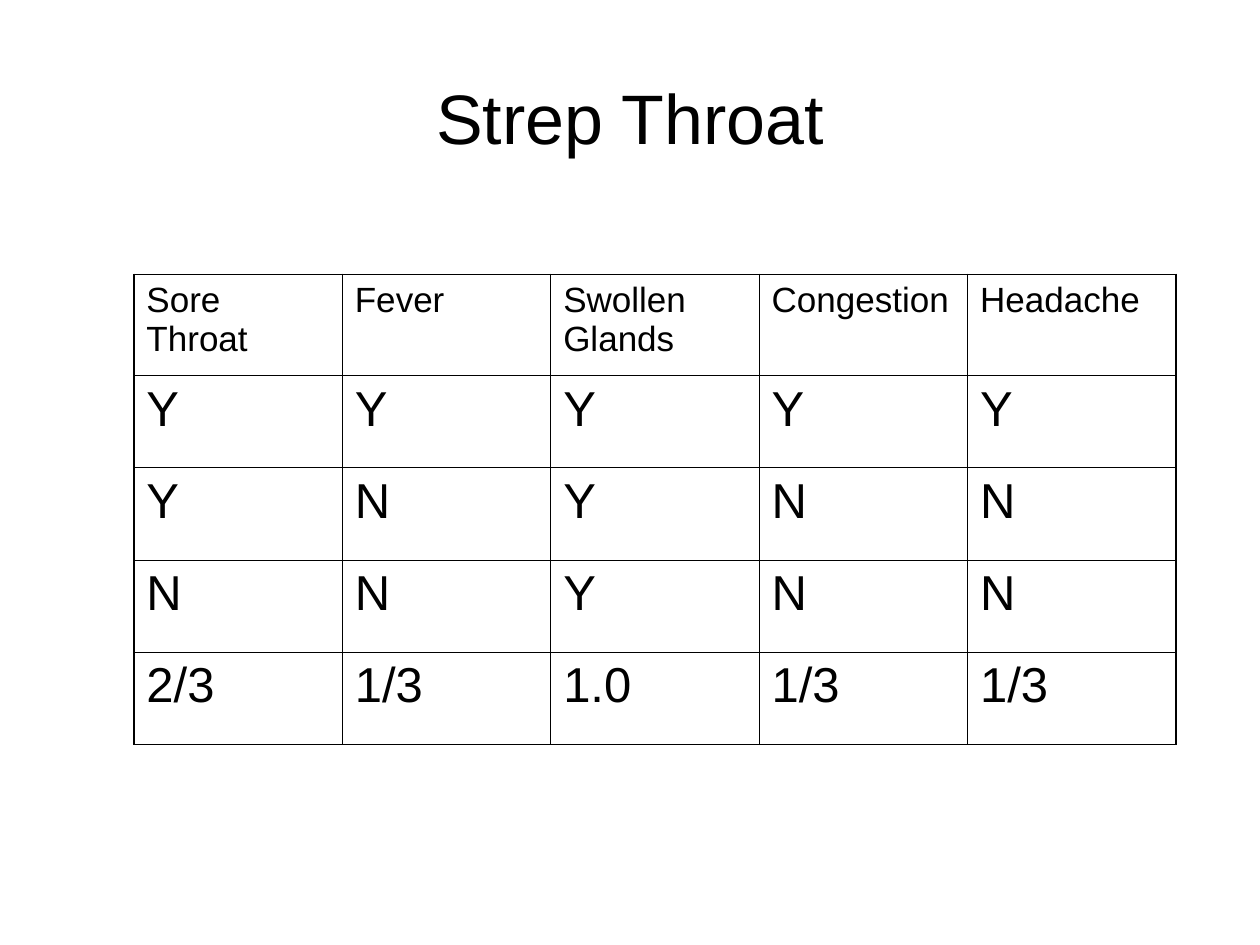
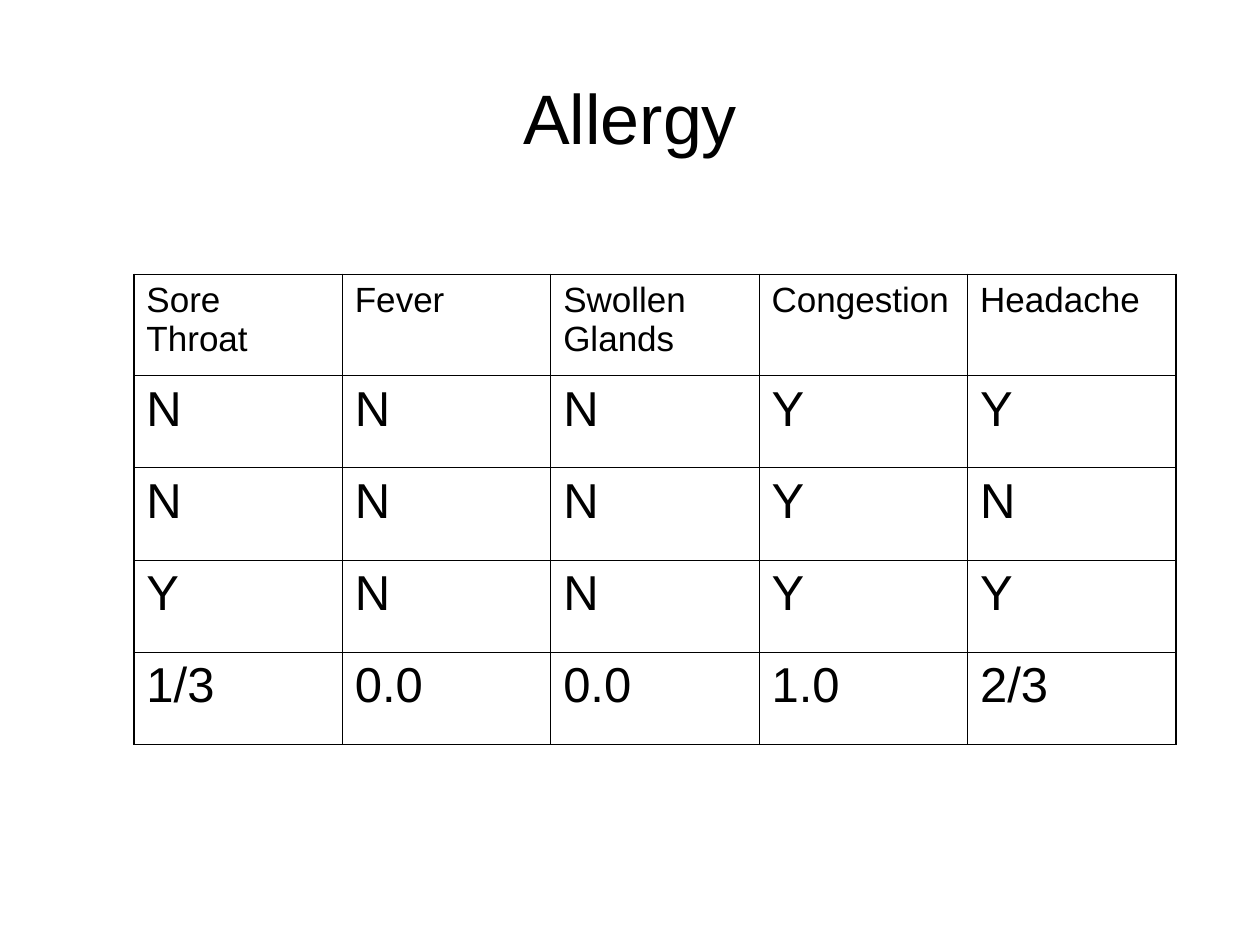
from lxml.etree import SubElement
from pptx import Presentation
from pptx.dml.color import RGBColor
from pptx.enum.text import MSO_ANCHOR, PP_ALIGN
from pptx.oxml.ns import qn
from pptx.util import Pt

FONT = "Arial"
BLACK = "000000"
OUTER, INNER = 1.08, 0.45
HEADER_HEIGHT, ROW_HEIGHT = 57.8, 52.7
COLUMN_WIDTH = 119.1
TITLE_ONLY = 5

SYMPTOMS = ["Sore Throat", "Fever", "Swollen Glands", "Congestion", "Headache"]
# Three patients per diagnosis, then the share of them with each symptom.
DIAGNOSES = {
    "Strep Throat": ["Y Y Y Y Y", "Y N Y N N", "N N Y N N", "2/3 1/3 1.0 1/3 1/3"],
    "Allergy": ["N N N Y Y", "N N N Y N", "Y N N Y Y", "1/3 0.0 0.0 1.0 2/3"],
}


def rgb(color):
    return RGBColor.from_string(color)


def write(tf, text, size, color=BLACK, align=PP_ALIGN.LEFT, anchor=MSO_ANCHOR.TOP):
    tf.word_wrap = True
    tf.vertical_anchor = anchor
    p = tf.paragraphs[0]
    p.alignment = align
    r = p.add_run()
    r.text = text
    r.font.name, r.font.size = FONT, Pt(size)
    r.font.color.rgb = rgb(color)


def add_title(slide, text):
    title = slide.shapes.title
    title.left, title.top, title.width, title.height = Pt(36), Pt(21.6), Pt(648), Pt(90)
    write(title.text_frame, text, 40, align=PP_ALIGN.CENTER, anchor=MSO_ANCHOR.MIDDLE)


def add_borders(cell, widths):
    """Draw left, right, top and bottom borders; they must precede the cell's fill."""
    tcPr = cell._tc.get_or_add_tcPr()
    for i, (side, width) in enumerate(zip("LRTB", widths)):
        ln = SubElement(tcPr, qn(f"a:ln{side}"), w=str(Pt(width)))
        fill = SubElement(ln, qn("a:solidFill"))
        SubElement(fill, qn("a:srgbClr"), val=BLACK)
        tcPr.insert(i, ln)


def add_symptom_table(slide, rows):
    n_rows, n_cols = len(rows), len(SYMPTOMS)
    height = HEADER_HEIGHT + ROW_HEIGHT * (n_rows - 1)
    frame = slide.shapes.add_table(n_rows, n_cols, Pt(76.5), Pt(156.8),
                                   Pt(COLUMN_WIDTH * n_cols), Pt(height))
    table = frame.table
    table.first_row = table.horz_banding = False
    for column in table.columns:
        column.width = Pt(COLUMN_WIDTH)
    for i, values in enumerate(rows):
        table.rows[i].height = Pt(ROW_HEIGHT if i else HEADER_HEIGHT)
        for j, value in enumerate(values):
            cell = table.cell(i, j)
            cell.margin_left = cell.margin_right = Pt(7.2)
            cell.margin_top = cell.margin_bottom = Pt(3.6)
            cell.fill.background()
            on_edge = (j == 0, j == n_cols - 1, i == 0, i == n_rows - 1)
            add_borders(cell, [OUTER if edge else INNER for edge in on_edge])
            write(cell.text_frame, value, 28 if i else 20)


def main():
    prs = Presentation()
    prs.slide_width, prs.slide_height = Pt(720), Pt(540)
    for diagnosis, findings in DIAGNOSES.items():
        slide = prs.slides.add_slide(prs.slide_layouts[TITLE_ONLY])
        add_title(slide, diagnosis)
        add_symptom_table(slide, [SYMPTOMS] + [line.split() for line in findings])
    prs.save("out.pptx")


if __name__ == "__main__":
    main()
